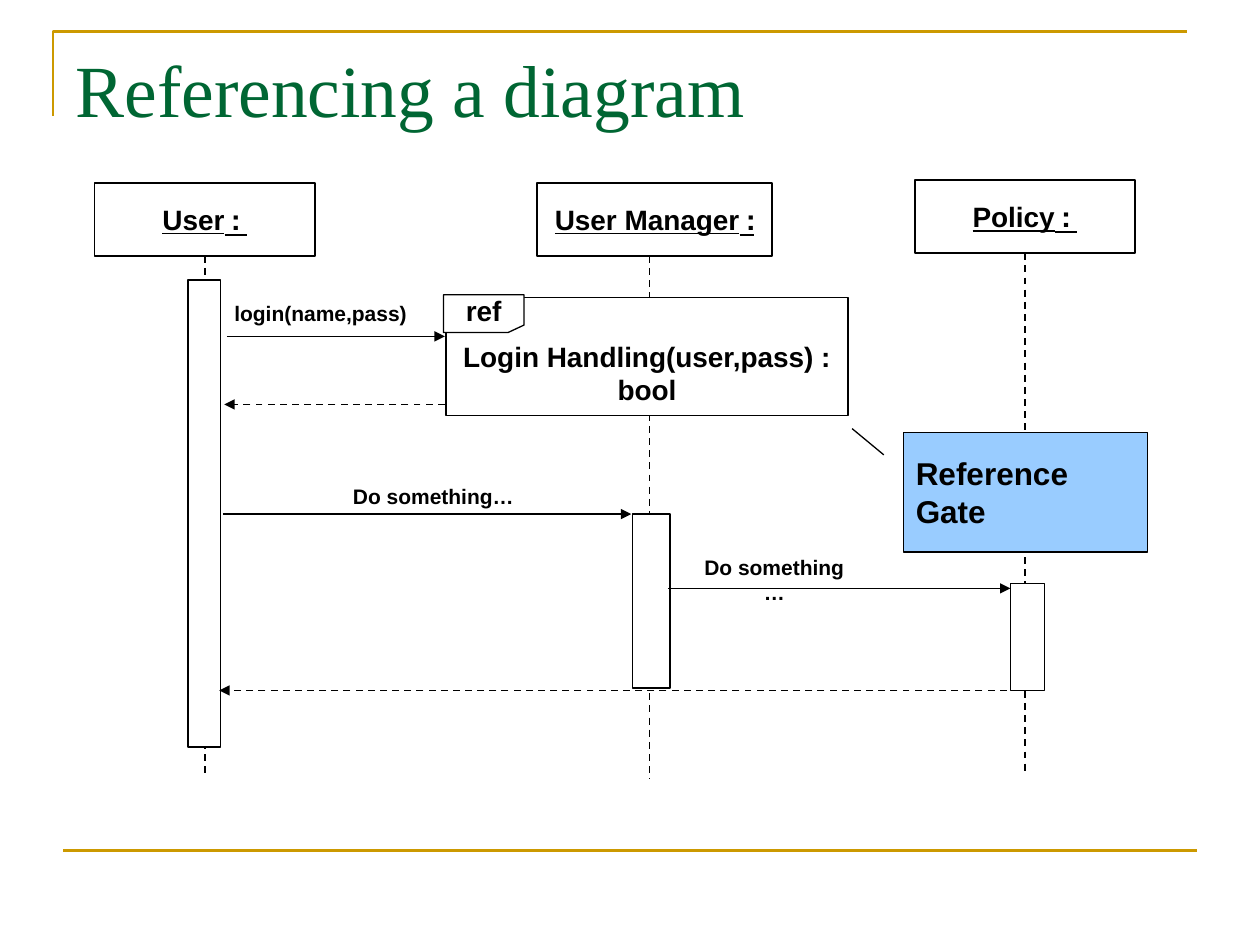
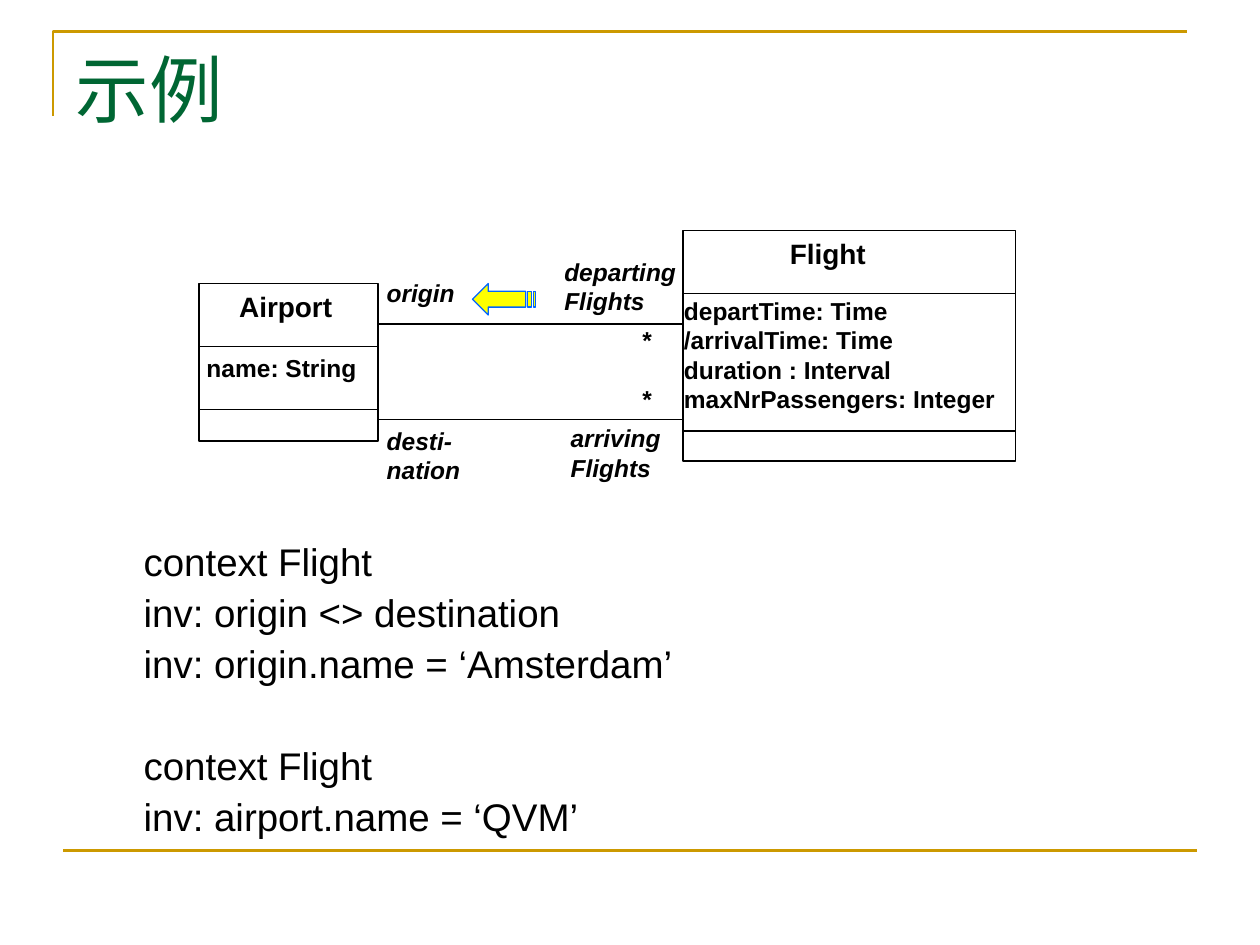
from dataclasses import dataclass

from lxml import etree
from pptx import Presentation
from pptx.dml.color import RGBColor
from pptx.enum.dml import MSO_LINE
from pptx.enum.shapes import MSO_CONNECTOR, MSO_SHAPE
from pptx.enum.text import MSO_ANCHOR, MSO_AUTO_SIZE, PP_ALIGN
from pptx.oxml.ns import qn
from pptx.util import Emu, Pt

SCALE = 9144
STRAIGHT = MSO_CONNECTOR.STRAIGHT
RECT = MSO_SHAPE.RECTANGLE
PUNCHED_CARD = MSO_SHAPE.FLOWCHART_CARD
CALLOUT = MSO_SHAPE.LINE_CALLOUT_1
DASH = MSO_LINE.DASH
LEFT, CENTER = PP_ALIGN.LEFT, PP_ALIGN.CENTER
TOP, MIDDLE = MSO_ANCHOR.TOP, MSO_ANCHOR.MIDDLE
NO_AUTOFIT = MSO_AUTO_SIZE.NONE
BOTTOM_SITE = 2


@dataclass(frozen=True)
class Theme:
    title_font: str = "Times New Roman"
    font: str = "Arial"
    green: RGBColor = RGBColor(0x00, 0x66, 0x33)
    gold: RGBColor = RGBColor(0xCC, 0x99, 0x00)
    black: RGBColor = RGBColor(0x00, 0x00, 0x00)
    white: RGBColor = RGBColor(0xFF, 0xFF, 0xFF)
    sky: RGBColor = RGBColor(0x99, 0xCC, 0xFF)
    yellow: RGBColor = RGBColor(0xFF, 0xFF, 0x00)
    blue: RGBColor = RGBColor(0x00, 0x66, 0xFF)
    title: float = 42
    code: float = 22
    callout: float = 18
    name: float = 16
    detail: float = 14
    message: float = 12
    thin: float = 0.75
    line: float = 1
    rule: float = 1.5


THEME = Theme()


@dataclass(frozen=True)
class Box:
    left: int
    top: int
    width: int
    height: int

    def inner(self, left, top, width, height):
        return Box(self.left + left, self.top + top, width, height)

    def point(self, x, y):
        return self.left + x, self.top + y

    def emu(self):
        return [px(n) for n in (self.left, self.top, self.width, self.height)]


def px(n):
    return Emu(int(n * SCALE))


def place(shape, box):
    shape.left, shape.top, shape.width, shape.height = box.emu()


def style_text(frame, size, align=LEFT, color=THEME.black, font=THEME.font,
               bold=True, italic=False, underline=False):
    for paragraph in frame.paragraphs:
        paragraph.alignment = align
        for run in paragraph.runs:
            run.font.name = font
            run.font.size = Pt(size)
            run.font.color.rgb = color
            run.font.bold = bold
            run.font.italic = italic
            run.font.underline = underline


def add_label(slide, box, text, size, align=LEFT, italic=False, wrap=False):
    frame = slide.shapes.add_textbox(*box.emu()).text_frame
    frame.word_wrap = wrap
    frame.text = text
    style_text(frame, size, align, italic=italic)


def paint(shape, fill, line, weight):
    shape.shadow.inherit = False
    if fill is None:
        shape.fill.background()
    else:
        shape.fill.solid()
        shape.fill.fore_color.rgb = fill
    shape.line.color.rgb = line
    shape.line.width = Pt(weight)


def add_block(slide, box, kind=RECT, fill=None, weight=THEME.line):
    block = slide.shapes.add_shape(kind, *box.emu())
    paint(block, fill, THEME.black, weight)
    return block


def add_line(slide, start, end, color=THEME.black, weight=THEME.line,
             dashed=False, arrow=False):
    line = slide.shapes.add_connector(STRAIGHT, *(px(n) for n in start + end))
    line.line.color.rgb = color
    line.line.width = Pt(weight)
    if dashed:
        line.line.dash_style = DASH
    if arrow:
        etree.SubElement(line.line._get_or_add_ln(), qn("a:tailEnd"), type="triangle")
    etree.SubElement(line._element.spPr, qn("a:effectLst"))
    return line


def add_frame(slide, box):
    builder = slide.shapes.build_freeform(box.left, box.top + 67, scale=SCALE)
    builder.add_line_segments(
        [(box.left, box.top), (box.left + 900, box.top)], close=False)
    paint(builder.convert_to_shape(), None, THEME.gold, THEME.rule)
    add_line(slide, box.point(8, 650), box.point(908, 650), THEME.gold, THEME.rule)


def add_titled_slide(deck, layout, heading):
    slide = deck.slides.add_slide(deck.slide_layouts[layout])
    add_frame(slide, Box(42, 25, 908, 650))
    title = slide.shapes.title
    place(title, Box(50, 30, 900, 125))
    frame = title.text_frame
    frame.text = heading
    frame.vertical_anchor = TOP
    frame.auto_size = NO_AUTOFIT
    style_text(frame, THEME.title, color=THEME.green, font=THEME.title_font, bold=False)
    return slide


def add_lifeline(slide, header, name, stem_shift, stem_length, bar):
    head = add_block(slide, header)
    frame = head.text_frame
    frame.word_wrap = True
    frame.vertical_anchor = MIDDLE
    frame.text = name
    style_text(frame, THEME.name, CENTER, underline=True)
    frame.paragraphs[0]._p.get_or_add_pPr().set("rtl", "1")
    x = header.width / 2 + stem_shift
    stem = add_line(slide, header.point(x, header.height),
                    header.point(x, header.height + stem_length), dashed=True)
    if not stem_shift:
        stem.begin_connect(head, BOTTOM_SITE)
    add_block(slide, bar, fill=THEME.white)


def add_reference(slide, box):
    reference = add_block(slide, box, fill=THEME.white, weight=THEME.thin)
    frame = reference.text_frame
    frame.word_wrap = False
    frame.vertical_anchor = MIDDLE
    frame.margin_top = px(31)
    frame.text = "Login Handling(user,pass) :\vbool"
    style_text(frame, THEME.name, CENTER)

    tag = add_block(slide, box.inner(-2, -2, 64, 30), PUNCHED_CARD,
                    THEME.white, THEME.thin)
    flip = tag._element.spPr.xfrm
    flip.set("flipH", "1")
    flip.set("flipV", "1")
    frame = tag.text_frame
    frame.word_wrap = False
    frame.vertical_anchor = MIDDLE
    frame.text = "ref"
    style_text(frame, THEME.name, CENTER)
    frame._txBody.bodyPr.set("rot", "10800000")


def add_gate(slide, box):
    gate = add_block(slide, box, CALLOUT, THEME.sky, THEME.thin)
    for index, value in enumerate((0.19, -0.08, -0.03, -0.21)):
        gate.adjustments[index] = value
    frame = gate.text_frame
    frame.word_wrap = True
    frame.vertical_anchor = MIDDLE
    frame.text = "Reference Gate"
    style_text(frame, THEME.callout)


def add_sequence(slide, area):
    lifelines = [
        (" : User", (0, 2, 175, 58), 0, 414, (74, 79, 26, 371)),
        (": User Manager", (351, 2, 187, 58), -4, 415, (427, 265, 30, 138)),
        (" : Policy", (651, 0, 175, 58), 0, 414, (727, 320, 27, 85)),
    ]
    for name, header, shift, length, bar in lifelines:
        add_lifeline(slide, area.inner(*header), name, shift, length, area.inner(*bar))

    add_reference(slide, area.inner(279, 93, 319, 94))

    messages = [
        (105, 278, 124, False),
        (278, 103, 178, True),
        (102, 426, 265, False),
        (455, 727, 324, False),
        (724, 99, 405, True),
    ]
    for start, end, y, reply in messages:
        add_line(slide, area.point(start, y), area.point(end, y),
                 dashed=reply, arrow=True)

    captions = [
        ("login(name,pass)", (101, 91, 157, 30), False),
        ("Do something…", (195, 236, 148, 30), False),
        ("Do something …", (465, 292, 149, 50), True),
    ]
    for caption, box, wrap in captions:
        add_label(slide, area.inner(*box), caption, THEME.message, CENTER, wrap=wrap)

    add_gate(slide, area.inner(642, 200, 194, 95))


def add_class(slide, box, name, name_box, fields, fields_box, dividers):
    add_block(slide, box)
    for y in dividers:
        add_line(slide, box.point(0, y), box.point(box.width, y))
    add_label(slide, box.inner(*name_box), name, THEME.name)
    add_label(slide, box.inner(*fields_box), fields, THEME.detail)


def add_direction(slide, box):
    builder = slide.shapes.build_freeform(0, 50, scale=SCALE * 200 / box.width)
    builder = slide.shapes.build_freeform(0, 50, scale=SCALE * box.width / 200)
    builder.add_line_segments([(50, 0), (50, 25), (169, 25), (169, 75),
                               (50, 75), (50, 100)])
    for left, right in ((175, 188), (194, 200)):
        builder.move_to(left, 25)
        builder.add_line_segments([(right, 25), (right, 75), (left, 75)])
    direction = builder.convert_to_shape(px(box.left), px(box.top))
    place(direction, box)
    paint(direction, THEME.yellow, THEME.blue, THEME.thin)


def add_class_diagram(slide, area):
    add_class(slide, area.inner(4, 42, 142, 125), "Airport", (22, 0, 94, 37),
              "name: String", (-4, 50, 139, 33), (50, 100))
    add_class(slide, area.inner(388, 0, 264, 183), "Flight", (75, 0, 81, 37),
              "departTime: Time\n/arrivalTime: Time\nduration : Interval\n"
              "maxNrPassengers: Integer", (-9, 47, 267, 104), (50, 159))
    for y in (74, 150):
        add_line(slide, area.point(146, y), area.point(388, y))
    for y in (70, 117):
        add_label(slide, area.inner(346, y, 28, 33), "*", THEME.detail)

    roles = [
        ("origin", (143, 33, 74, 33)),
        ("desti-\nnation", (143, 150, 79, 57)),
        ("departing\nFlights", (284, 16, 109, 57)),
        ("arriving\nFlights", (289, 148, 92, 57)),
    ]
    for role, box in roles:
        add_label(slide, area.inner(*box), role, THEME.detail, italic=True)

    add_direction(slide, area.inner(221, 42, 50, 25))


def add_constraints(slide, box):
    constraints = slide.placeholders[1]
    place(constraints, box)
    frame = constraints.text_frame
    frame.auto_size = NO_AUTOFIT
    frame.margin_top = px(56)
    frame.text = "\n".join([
        "context Flight",
        "inv: origin <> destination",
        "inv: origin.name = ‘Amsterdam’",
        "context Flight",
        "inv: airport.name = ‘QVM’",
    ])
    style_text(frame, THEME.code, bold=False)
    for paragraph, gap in zip(frame.paragraphs, (5.5, 5.5, 5.5, 34.5, 5.5)):
        paragraph.level = 1
        paragraph.line_spacing = 0.9
        paragraph.space_before = Pt(gap)
        properties = paragraph._p.get_or_add_pPr()
        properties.set("marL", str(px(73)))
        properties.set("indent", str(px(-36)))
        etree.SubElement(properties, qn("a:buNone"))


def main():
    deck = Presentation()
    deck.slide_width, deck.slide_height = px(1000), px(750)

    referencing = add_titled_slide(deck, 5, "Referencing a diagram")
    add_sequence(referencing, Box(75, 143, 836, 475))

    example = add_titled_slide(deck, 1, "示例")
    add_constraints(example, Box(67, 375, 850, 325))
    add_class_diagram(example, Box(154, 183, 652, 207))

    deck.save("out.pptx")


if __name__ == "__main__":
    main()
